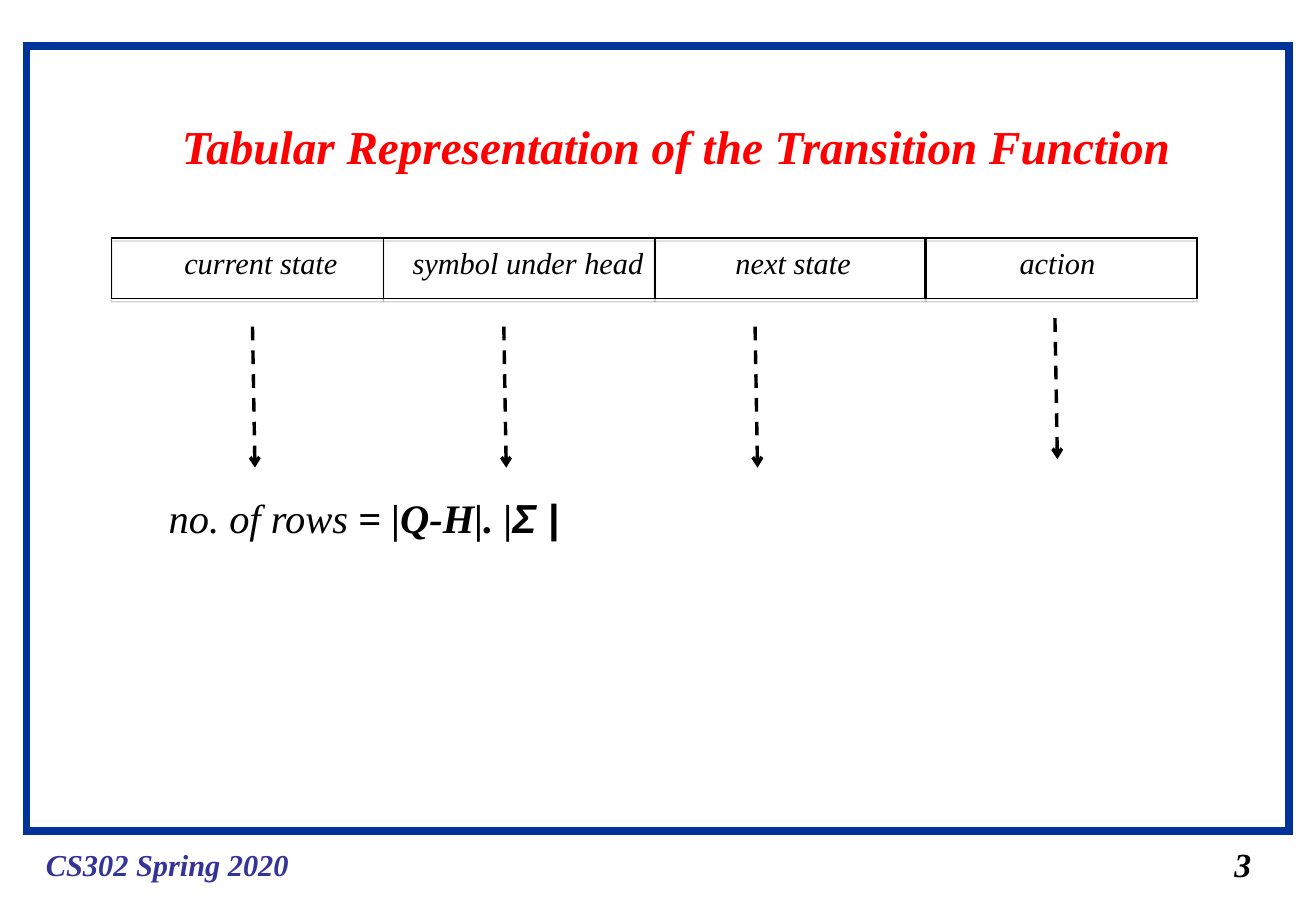
from lxml.etree import SubElement
from pptx import Presentation
from pptx.dml.color import RGBColor
from pptx.enum.dml import MSO_LINE
from pptx.enum.shapes import MSO_CONNECTOR, MSO_SHAPE
from pptx.enum.text import MSO_AUTO_SIZE
from pptx.oxml.ns import qn
from pptx.util import Pt

EMU_PER_PX = 9144
COLORS = {"frame": "003399", "course": "333399", "title": "FF0000",
          "ink": "000000", "shadow": "808080"}
SERIF = {"name": "Times New Roman", "italic": True}
BOLD = {**SERIF, "bold": True}
HEADINGS = [("current state", 50, 147), ("symbol under head", 238, 210),
            ("next state", 504, 115), ("action", 738, 86)]
ARROWS = [(116, 7), (323, 7), (530, 7), (777, 0)]


def px(length):
    """Turn px into EMU."""
    return length * EMU_PER_PX


def add_text(slide, box, runs, size, color="ink", wrap=False):
    """Place one line of text made of (wording, font format) runs."""
    frame = slide.shapes.add_textbox(*map(px, box)).text_frame
    frame.word_wrap = wrap
    frame.auto_size = MSO_AUTO_SIZE.SHAPE_TO_FIT_TEXT
    for wording, style in runs:
        run = frame.paragraphs[0].add_run()
        run.text = wording
        run.font.size = Pt(size)
        run.font.color.rgb = RGBColor.from_string(COLORS[color])
        for attribute, value in style.items():
            setattr(run.font, attribute, value)


def add_outline(slide, box, color, width):
    """Place an unfilled, sharp-cornered rectangle without a shadow and return it."""
    outline = slide.shapes.add_shape(MSO_SHAPE.RECTANGLE, *map(px, box))
    outline.fill.background()
    outline.line.color.rgb = RGBColor.from_string(COLORS[color])
    outline.line.width = Pt(width)
    SubElement(outline.line._get_or_add_ln(), qn("a:miter"), lim="800000")
    outline.shadow.inherit = False
    return outline


def add_cell(slide, box):
    """Place a heading cell with a soft grey shadow just below it."""
    cell = add_outline(slide, box, "ink", 0.75)
    effects = cell._element.spPr.find(qn("a:effectLst"))
    shadow = SubElement(effects, qn("a:outerShdw"), dist=str(Pt(1.8)),
                        dir="5400000", algn="ctr", rotWithShape="0")
    grey = SubElement(shadow, qn("a:srgbClr"), val=COLORS["shadow"])
    SubElement(grey, qn("a:alpha"), val="35000")


def add_arrow(slide, left, top):
    """Place a dashed arrow pointing down."""
    arrow = slide.shapes.add_connector(
        MSO_CONNECTOR.STRAIGHT, px(left), px(top), px(left + 2), px(top + 116))
    arrow.line.color.rgb = RGBColor.from_string(COLORS["ink"])
    arrow.line.width = Pt(2)
    arrow.line.dash_style = MSO_LINE.DASH
    SubElement(arrow.line._get_or_add_ln(), qn("a:tailEnd"), type="arrow")
    SubElement(arrow._element.spPr, qn("a:effectLst"))


def add_transition_table(slide, left, top, width, height):
    """Draw the heading row and the arrows that stand for its rows."""
    cell_width = width / len(HEADINGS)
    for column in range(len(HEADINGS)):
        cell_left = round(left + column * cell_width)
        add_cell(slide, (cell_left, top, round(cell_width), height))
    for heading, offset, text_width in HEADINGS:
        add_text(slide, (left + offset, top, text_width, 40), [(heading, SERIF)], 18)
    for offset, drop in ARROWS:
        add_arrow(slide, left + offset, top + height + 16 + drop)


def add_page_furniture(slide, left, top, width, height):
    """Draw the page frame with the course and page number below it."""
    add_outline(slide, (left, top, width, height), "frame", 4.5)
    bottom = top + height
    add_text(slide, (left + 6, bottom + 8, 220, 40),
             [("CS302 Spring 2020", BOLD)], 18, "course")
    add_text(slide, (left + width - 55, bottom + 6, 34, 44), [("3", BOLD)], 20)


def add_content(slide, left, top):
    """Place the title, the transition table and the row count."""
    add_text(slide, (left + 48, top, 839, 57),
             [("Tabular Representation of the Transition Function", BOLD)], 28, "title")
    add_transition_table(slide, left, top + 104, 894, 50)
    row_count = [("no. of rows ", SERIF), ("= |Q-H|. |", BOLD),
                 ("Σ |", {**BOLD, "name": "Arial"})]
    add_text(slide, (left + 37, top + 309, 354, 50), row_count, 24, wrap=True)


def main():
    """Build and save the slide."""
    deck = Presentation()
    deck.slide_width, deck.slide_height = px(1084), px(750)
    slide = deck.slides.add_slide(deck.slide_layouts[6])
    add_page_furniture(slide, 22, 38, 1040, 646)
    add_content(slide, 92, 92)
    deck.save("out.pptx")


if __name__ == "__main__":
    main()
